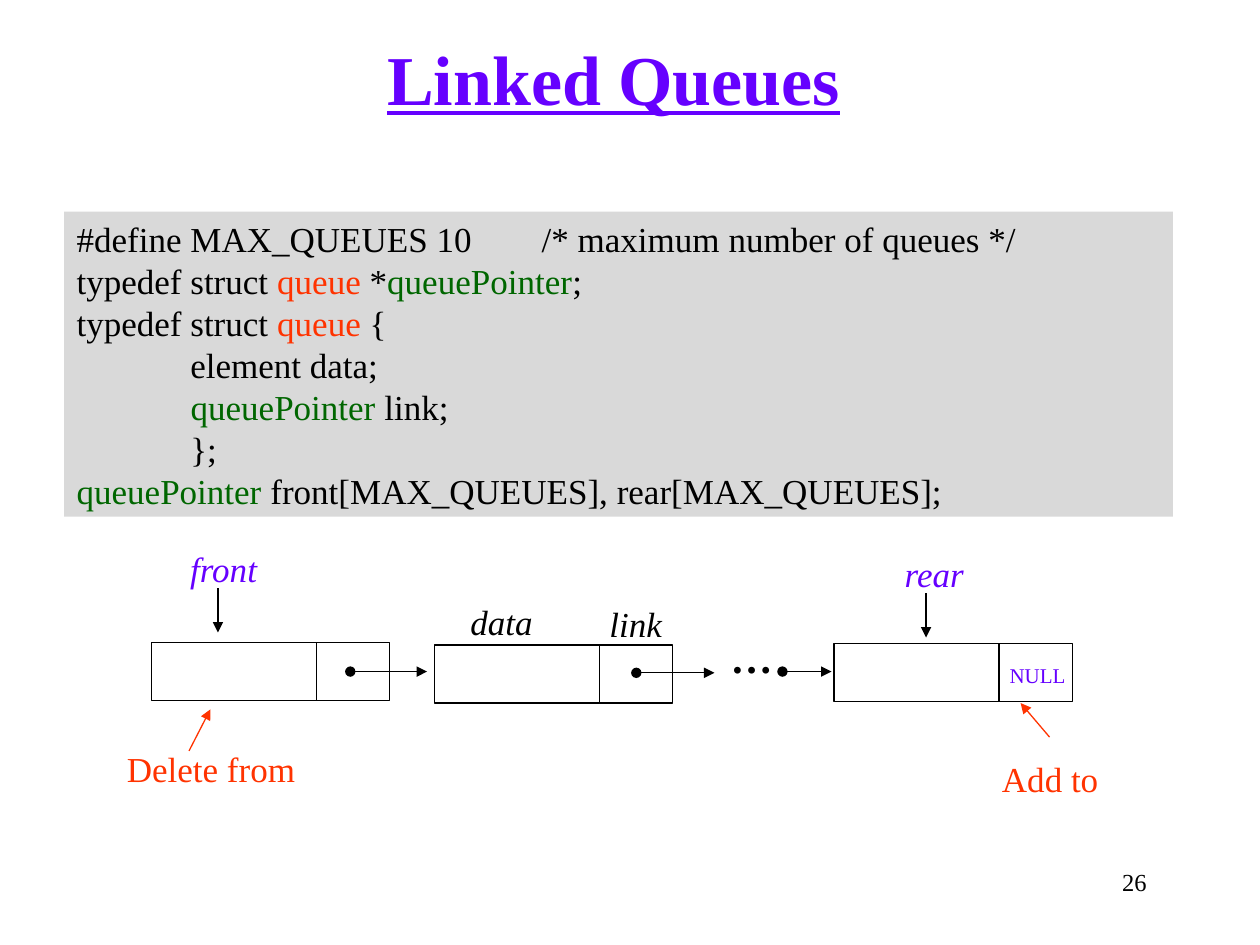
from lxml import etree
from pptx import Presentation
from pptx.dml.color import RGBColor
from pptx.enum.shapes import MSO_CONNECTOR, MSO_SHAPE
from pptx.enum.text import MSO_ANCHOR, MSO_AUTO_SIZE, PP_ALIGN
from pptx.oxml.ns import qn
from pptx.util import Inches, Pt

STRAIGHT = MSO_CONNECTOR.STRAIGHT
RECTANGLE = MSO_SHAPE.RECTANGLE
TOP, MIDDLE = MSO_ANCHOR.TOP, MSO_ANCHOR.MIDDLE
LEFT, CENTER, RIGHT = PP_ALIGN.LEFT, PP_ALIGN.CENTER, PP_ALIGN.RIGHT
NO_AUTOFIT = MSO_AUTO_SIZE.NONE

FONT = "Times New Roman"
COLORS = {
    "black": "000000",
    "violet": "6600FF",
    "red": "FF3300",
    "green": "006600",
    "gray": "D9D9D9",
}
COLUMNS, ROWS = 100, 75
DATA_WIDTH, LINK_WIDTH, NODE_HEIGHT = 13.1, 5.8, 4.6

QUEUE = ("queue", "red")
POINTER = ("queuePointer", "green")
INDENT = " " * 13
CODE = [
    ["#define MAX_QUEUES 10        /* maximum number of queues */"],
    ["typedef struct ", QUEUE, " *", POINTER, ";"],
    ["typedef struct ", QUEUE, " {"],
    [INDENT + "element data;"],
    [INDENT, POINTER, " link;"],
    [INDENT + "};"],
    [POINTER, " front[MAX_QUEUES], rear[MAX_QUEUES];"],
]


def rgb(name):
    return RGBColor.from_string(COLORS[name])


def write_text(shape, lines, size=20, color="black", align=CENTER, anchor=TOP,
               wrap=True, spacing=None, bold=False, italic=False, underline=False):
    """Fill a shape with lines, each a list of strings or (string, colour) pairs."""
    frame = shape.text_frame
    frame.word_wrap = wrap
    frame.auto_size = NO_AUTOFIT
    frame.vertical_anchor = anchor
    for index, line in enumerate(lines):
        paragraph = frame.add_paragraph() if index else frame.paragraphs[0]
        paragraph.alignment = align
        if spacing:
            paragraph.line_spacing = Pt(spacing)
        for part in line:
            words, run_color = (part, color) if isinstance(part, str) else part
            run = paragraph.add_run()
            run.text = words
            font = run.font
            font.name, font.size = FONT, Pt(size)
            font.bold, font.italic, font.underline = bold, italic, underline
            font.color.rgb = rgb(run_color)


class QueueSlide:
    """Holds the slide and places elements on a grid of 100 columns by 75 rows."""

    def __init__(self, presentation):
        self.column = presentation.slide_width / COLUMNS
        self.row = presentation.slide_height / ROWS
        self.slide = presentation.slides.add_slide(presentation.slide_layouts[5])
        self.shapes = self.slide.shapes

    def point(self, x, y):
        return round(x * self.column), round(y * self.row)

    def box(self, x, y, width, height):
        return *self.point(x, y), *self.point(width, height)

    def title(self, text, *place):
        title = self.shapes.title
        title.left, title.top, title.width, title.height = self.box(*place)
        write_text(title, [[text]], size=40, color="violet", anchor=MIDDLE,
                   bold=True, underline=True)

    def text(self, lines, *place, fill=None, **style):
        box = self.shapes.add_textbox(*self.box(*place))
        if fill:
            box.fill.solid()
            box.fill.fore_color.rgb = rgb(fill)
        write_text(box, lines, **style)

    def label(self, text, *place, **style):
        self.text([[text]], *place, **style)

    def cell(self, *place):
        cell = self.shapes.add_shape(RECTANGLE, *self.box(*place))
        cell.shadow.inherit = False
        cell.fill.background()
        cell.line.color.rgb = rgb("black")
        cell.line.width = Pt(0.75)

    def node(self, x, y):
        """Draw a list node: a data cell followed by a link cell."""
        self.cell(x, y, DATA_WIDTH, NODE_HEIGHT)
        self.cell(x + DATA_WIDTH, y, LINK_WIDTH, NODE_HEIGHT)

    def arrow(self, start, end, color="black", dot=False):
        connector = self.shapes.add_connector(
            STRAIGHT, *self.point(*start), *self.point(*end))
        connector.line.color.rgb = rgb(color)
        connector.line.width = Pt(0.75)
        properties = connector._element.spPr
        line = properties.find(qn("a:ln"))
        if dot:
            etree.SubElement(line, qn("a:headEnd"), type="oval")
        etree.SubElement(line, qn("a:tailEnd"), type="triangle")
        etree.SubElement(properties, qn("a:effectLst"))


def main():
    presentation = Presentation()
    presentation.slide_width, presentation.slide_height = Inches(10), Inches(7.5)
    page = QueueSlide(presentation)

    page.title("Linked Queues", 6.2, 2.5, 85, 7.3)
    page.text(CODE, 5.1, 16.8, 88, 24.2, fill="gray", align=LEFT,
              anchor=MIDDLE, spacing=24)

    for x, y in [(12, 51), (34.5, 51.2), (66.2, 51.1)]:
        page.node(x, y)
    page.label("data", 36.3, 47.2, 7, 4.4, italic=True, wrap=False)
    page.label("link", 46.4, 47.3, 8.1, 4.4, italic=True)
    page.label("NULL", 79.1, 52.1, 6.5, 3, size=12, color="violet", wrap=False)
    page.label("…", 55.6, 49.6, 8.1, 5, size=24, bold=True)

    for x, y, length in [(27.8, 53.3, 6.1), (50.5, 53.4, 6.2), (62.1, 53.3, 3.9)]:
        page.arrow((x, y), (x + length, y), dot=True)

    for name, x, y, arrow_x in [("front", 12.6, 43.1, 17.3), ("rear", 69, 43.5, 73.5)]:
        page.label(name, x, y, 10.3, 4.1, color="violet", italic=True,
                   anchor=MIDDLE, wrap=False)
        page.arrow((arrow_x, y + 3.6), (arrow_x, y + 7.1))

    page.label("Delete from", 9, 58.8, 15.5, 4.4, color="red", wrap=False)
    page.arrow((15, 59.6), (16.7, 56.3), color="red")
    page.label("Add to", 78.5, 59.6, 9.7, 4.4, color="red", wrap=False)
    page.arrow((83.3, 58.5), (81, 55.8), color="red")

    page.label("26", 71.2, 68.3, 20.8, 5, size=14, align=RIGHT)
    presentation.save("out.pptx")


if __name__ == "__main__":
    main()
